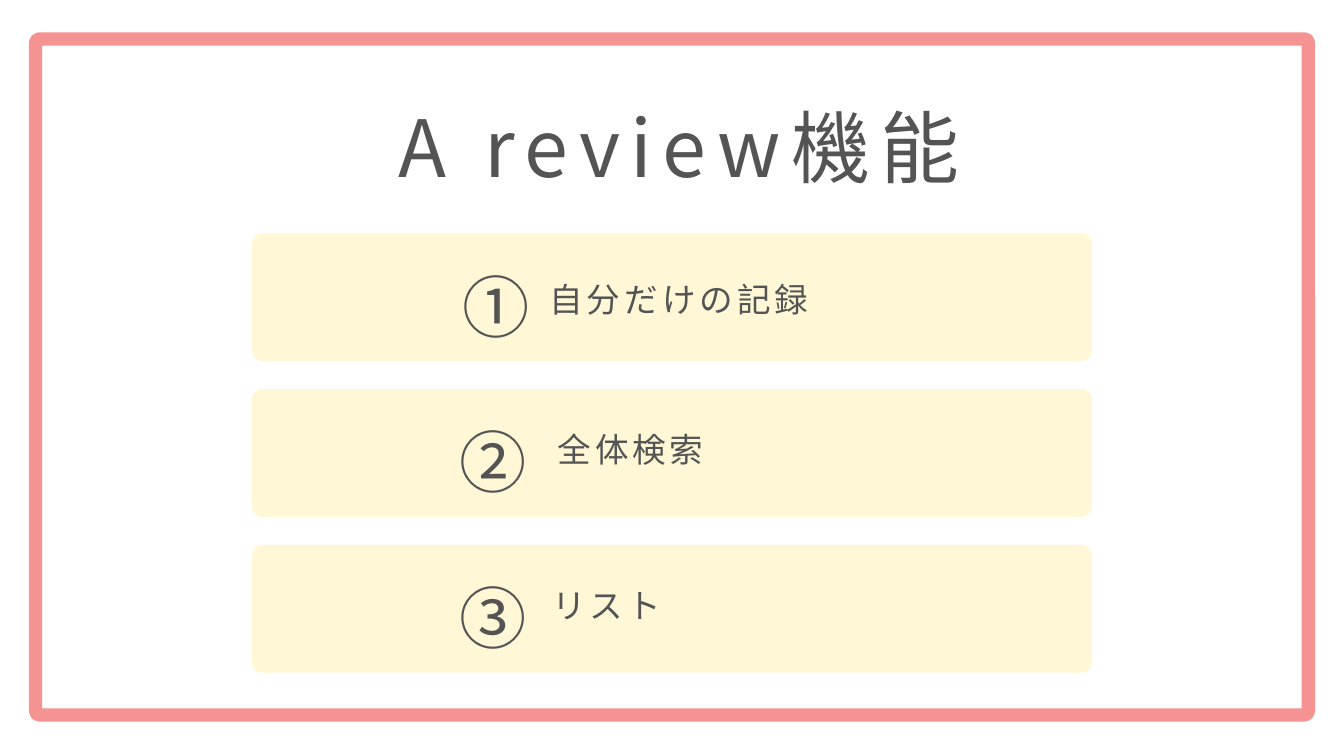
from dataclasses import dataclass

from lxml import etree
from pptx import Presentation
from pptx.dml.color import RGBColor
from pptx.enum.shapes import MSO_SHAPE
from pptx.enum.text import MSO_ANCHOR, MSO_AUTO_SIZE, PP_ALIGN
from pptx.oxml.ns import qn
from pptx.util import Inches, Pt

ROUNDED = MSO_SHAPE.ROUNDED_RECTANGLE
CENTER = PP_ALIGN.CENTER
TOP = MSO_ANCHOR.TOP
NO_AUTOFIT = MSO_AUTO_SIZE.NONE
TITLE_ONLY = 5


@dataclass(frozen=True)
class Theme:
    frame: RGBColor = RGBColor(0xF5, 0x92, 0x92)
    card: RGBColor = RGBColor(0xFF, 0xF7, 0xD6)
    ink: RGBColor = RGBColor(0x54, 0x54, 0x54)
    display_font: str = "Noto Sans CJK JP"
    label_font: str = "Calibri"
    title_size: float = 84.6
    number_size: float = 72
    label_size: float = 36
    display_leading: float = 98.1
    display_tracking: float = 11.2


THEME = Theme()

CARD_TOP, CARD_PITCH, CARD_HEIGHT = 3.47, 2.32, 1.9

# Number, label, number left and drop, label left, drop and width,
# label leading and tracking; drops are measured from the top of the card
FEATURES = [
    ("①", "自分だけの記録", 6.38, 0.31, 8.07, 0.76, 4.07, 37.2, 4.3),
    ("②", "全体検索", 6.34, 0.3, 8.07, 0.69, 2.63, 36, 4.1),
    ("③", "リスト", 6.34, 0.3, 8.03, 0.7, 1.99, 36, 4.1),
]


def place(shape, left, top, width, height):
    shape.left, shape.top = Inches(left), Inches(top)
    shape.width, shape.height = Inches(width), Inches(height)


def write_text(box, text, font_name, size, leading, tracking):
    """Fill a box with one centred, letter-spaced line."""
    frame = box.text_frame
    frame.text = text
    frame.word_wrap = True
    frame.auto_size = NO_AUTOFIT
    frame.vertical_anchor = TOP
    frame.margin_left = frame.margin_right = 0
    frame.margin_top = frame.margin_bottom = 0
    para = frame.paragraphs[0]
    para.alignment = CENTER
    para.line_spacing = Pt(leading)
    span = para.runs[0]
    span.font.size = Pt(size)
    span.font.color.rgb = THEME.ink
    span.font.name = font_name
    properties = span.font._element
    properties.set("spc", str(round(tracking * 100)))
    etree.SubElement(properties, qn("a:ea"), typeface=THEME.display_font)


def add_text(page, left, top, width, height, *style):
    box = page.shapes.add_textbox(0, 0, 0, 0)
    place(box, left, top, width, height)
    write_text(box, *style)


def add_rounded(page, left, top, width, height, radius):
    shape = page.shapes.add_shape(ROUNDED, 0, 0, 0, 0)
    place(shape, left, top, width, height)
    shape.adjustments[0] = radius / height
    shape.shadow.inherit = False
    return shape


def add_frame(page):
    frame = add_rounded(page, 0.53, 0.58, 18.94, 10.06, 0.06)
    frame.fill.background()
    frame.line.color.rgb = THEME.frame
    frame.line.width = Pt(14.25)


def add_title(page, text):
    title = page.shapes.title
    place(title, 4.37, 1.52, 11.47, 1.38)
    write_text(title, text, THEME.display_font, THEME.title_size,
               THEME.display_leading, THEME.display_tracking)


def add_feature(page, top, feature):
    (number, label, number_left, number_drop,
     label_left, label_drop, label_width, leading, tracking) = feature
    card = add_rounded(page, 3.75, top, 12.5, CARD_HEIGHT, 0.15)
    card.fill.solid()
    card.fill.fore_color.rgb = THEME.card
    card.line.fill.background()
    add_text(page, label_left, top + label_drop, label_width, 0.52,
             label, THEME.label_font, THEME.label_size, leading, tracking)
    add_text(page, number_left, top + number_drop, 1.99, 1.3,
             number, THEME.display_font, THEME.number_size,
             THEME.display_leading, THEME.display_tracking)


def main():
    deck = Presentation()
    deck.slide_width, deck.slide_height = Inches(20), Inches(11.25)
    page = deck.slides.add_slide(deck.slide_layouts[TITLE_ONLY])

    # Border and heading
    add_frame(page)
    add_title(page, "A review機能")

    # One card per feature
    for row, feature in enumerate(FEATURES):
        add_feature(page, CARD_TOP + row * CARD_PITCH, feature)

    deck.save("out.pptx")


if __name__ == "__main__":
    main()
